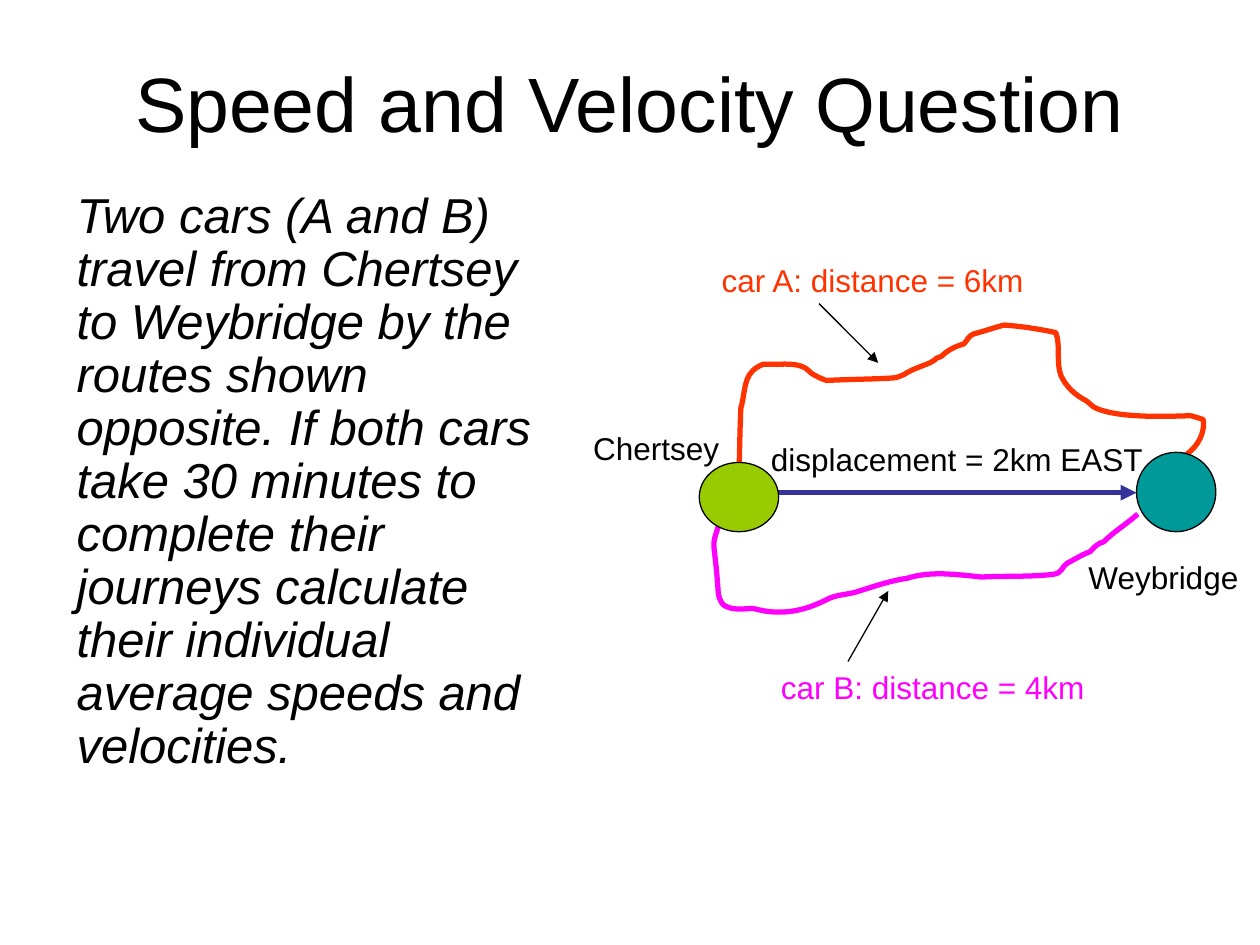
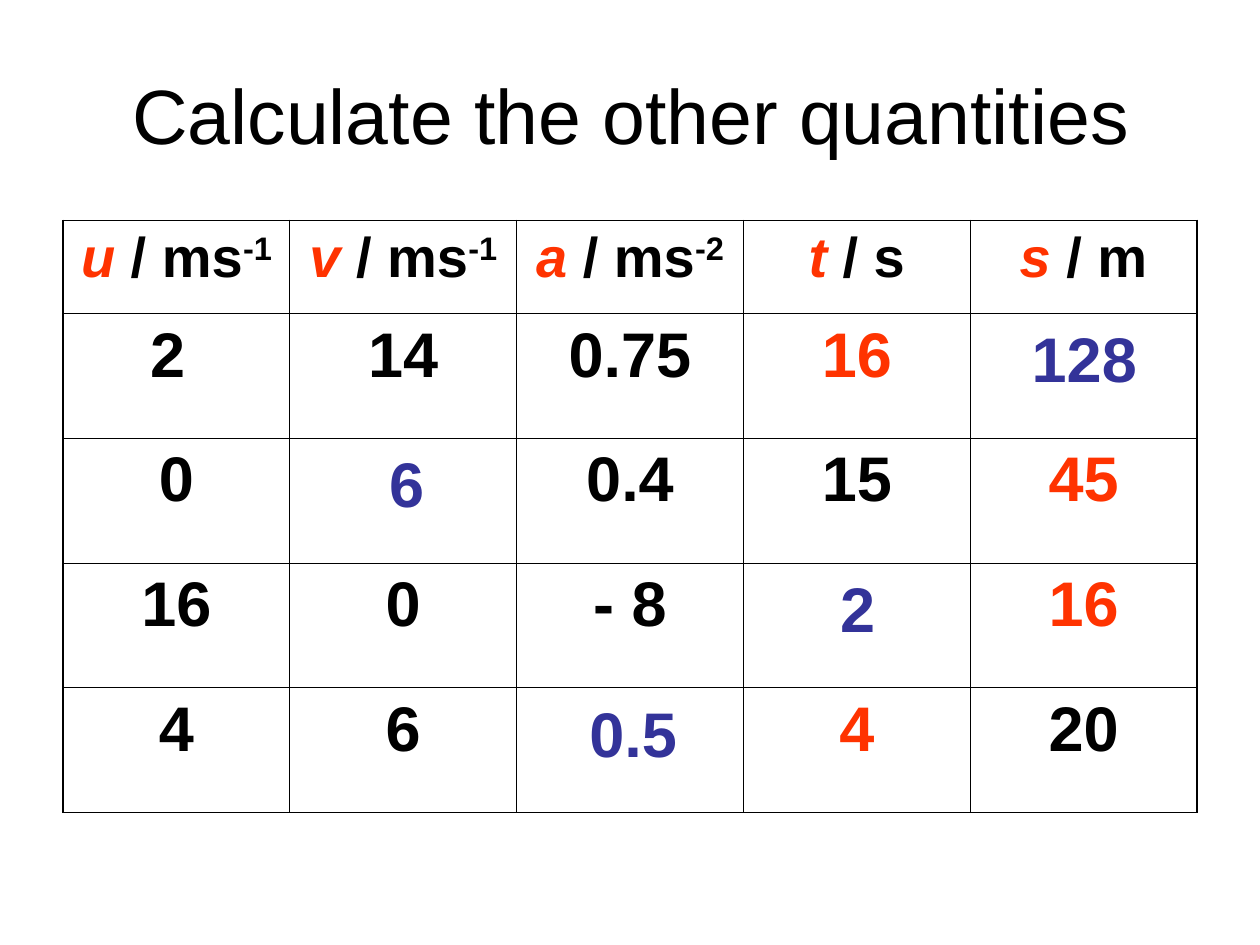
from dataclasses import dataclass

from lxml.etree import SubElement
from pptx import Presentation
from pptx.dml.color import RGBColor
from pptx.enum.shapes import MSO_CONNECTOR as Connector, MSO_SHAPE as Preset
from pptx.enum.text import MSO_ANCHOR as Anchor, PP_ALIGN as Align
from pptx.oxml.ns import qn
from pptx.util import Inches, Pt


@dataclass(frozen=True)
class Theme:
    font: str = "Arial"
    black: str = "000000"
    red: str = "FF3300"
    magenta: str = "FF00FF"
    blue: str = "333399"
    green: str = "99CC00"
    teal: str = "009999"
    title: int = 44
    body: int = 28
    label: int = 18
    header: int = 32
    value: int = 36
    thin: float = 0.75
    route: float = 3
    grid: float = 0.45
    frame: float = 1.08


THEME = Theme()
WIDTH, HEIGHT = 10, 7.5

# Speed and velocity: lengths in inches
QUESTION_TITLE = "Speed and Velocity Question", (0.5, 0.3, 9, 1.01)
QUESTION = (
    "Two cars (A and B) travel from Chertsey to Weybridge by the routes shown "
    "opposite. If both cars take 30 minutes to complete their journeys calculate "
    "their individual average speeds and velocities."
)
QUESTION_BOX = (0.51, 1.47, 3.95, 4.76)
LABELS = [
    ("car A: distance = 6km", (5.63, 2.02, 2.84, 0.4), THEME.red),
    ("car B: distance = 4km", (6.1, 5.25, 2.84, 0.4), THEME.magenta),
    ("displacement = 2km EAST", (6.02, 3.44, 3.31, 0.4), THEME.black),
    ("Chertsey", (4.61, 3.36, 1.34, 0.4), THEME.black),
    ("Weybridge", (8.54, 4.38, 1.46, 0.4), THEME.black),
]
TOWNS = [
    ((5.55, 3.67, 0.63, 0.55), THEME.green),
    ((9.02, 3.59, 0.63, 0.63), THEME.teal),
]
DISPLACEMENT = (5.94, 3.91, 9.02, 3.91)
POINTERS = [(6.5, 2.41, 6.97, 2.88), (6.73, 5.25, 7.05, 4.69)]

# Routes in hundredths of an inch: a start, then two handles and an end per curve
ROUTE_A = [
    (586, 389),
    (587, 368), (587, 346), (588, 324),
    (588, 323), (589, 321), (589, 320),
    (592, 305), (591, 295), (606, 289),
    (617, 290), (630, 287), (639, 292),
    (642, 294), (644, 297), (647, 298),
    (650, 300), (656, 302), (656, 302),
    (674, 301), (692, 301), (709, 300),
    (712, 300), (718, 297), (718, 297),
    (724, 293), (731, 291), (738, 288),
    (749, 282), (736, 287), (747, 283),
    (752, 278), (758, 275), (765, 273),
    (768, 270), (769, 266), (773, 265),
    (781, 263), (789, 260), (797, 258),
    (811, 259), (824, 261), (838, 264),
    (842, 275), (838, 287), (842, 298),
    (846, 307), (854, 314), (862, 318),
    (865, 320), (867, 323), (870, 324),
    (890, 333), (936, 330), (945, 330),
    (946, 330), (955, 333), (955, 333),
    (957, 346), (947, 360), (935, 364),
    (930, 369), (928, 373), (921, 376),
    (919, 381), (921, 380), (917, 382),
]
ROUTE_B = [
    (582, 405),
    (577, 409), (573, 413), (570, 418),
    (564, 437), (567, 425), (570, 470),
    (570, 473), (572, 478), (574, 480),
    (581, 485), (590, 483), (598, 483),
    (620, 489), (638, 485), (656, 476),
    (663, 472), (672, 472), (679, 470),
    (692, 466), (706, 461), (720, 459),
    (739, 453), (759, 456), (779, 458),
    (798, 457), (816, 458), (835, 456),
    (844, 455), (842, 450), (847, 447),
    (853, 444), (859, 440), (865, 438),
    (869, 434), (870, 432), (876, 430),
    (884, 422), (894, 416), (903, 408),
]
ROUTES = [(ROUTE_A, THEME.red), (ROUTE_B, THEME.magenta)]

# Quantities: symbol, unit, exponent
TABLE_TITLE = "Calculate the other quantities", (0.51, 0.28, 9, 1.25)
HEADERS = [
    ("u", " / ms", "-1"), ("v", " / ms", "-1"), ("a", " / ms", "-2"),
    ("t", " / s", ""), ("s", " / m", ""),
]
VALUES = [
    ["2 ", "14", "0.75", "16", ""],
    ["0", "", "0.4", "15", "45"],
    ["16", "0", "- 8", "", "16"],
    ["4", "6", "", "4", "20"],
]
RED_CELLS = {(0, 3), (1, 4), (2, 4), (3, 3)}
# Answer, row, column, indent within the cell
ANSWERS = [("128", 0, 4, 0.39), ("6", 1, 1, 0.69), ("2", 2, 3, 0.67), ("0.5", 3, 2, 0.48)]
TABLE_LEFT, TABLE_TOP = 0.5, 1.75
COLUMN_WIDTH, HEADER_HEIGHT, ROW_HEIGHT = 1.8, 0.74, 0.99
ANSWER_SIZE = (1.1, 0.7)


def inches(values):
    return [Inches(value) for value in values]


def set_all(target, formats):
    for name, value in formats.items():
        setattr(target, name, value)


def add_run(paragraph, text, size, color=THEME.black, **formats):
    run = paragraph.add_run()
    run.text = text
    set_all(run.font, {"name": THEME.font, "size": Pt(size), **formats})
    run.font.color.rgb = RGBColor.from_string(color)
    return run


def add_text(slide, text, box, size, color=THEME.black, anchor=Anchor.TOP,
             layout=None, **formats):
    """Add a text box; layout holds paragraph settings, formats font settings."""
    frame = slide.shapes.add_textbox(*inches(box)).text_frame
    set_all(frame, {"word_wrap": True, "vertical_anchor": anchor})
    paragraph = frame.paragraphs[0]
    set_all(paragraph, layout or {})
    add_run(paragraph, text, size, color, **formats)


def add_title(slide, text, box):
    add_text(slide, text, box, THEME.title, anchor=Anchor.MIDDLE,
             layout={"alignment": Align.CENTER})


def set_line(shape, color, width):
    shape.line.color.rgb = RGBColor.from_string(color)
    shape.line.width = Pt(width)


def add_arrow(slide, ends, color, width):
    arrow = slide.shapes.add_connector(Connector.STRAIGHT, *inches(ends))
    set_line(arrow, color, width)
    properties = arrow._element.spPr
    SubElement(properties.find(qn("a:ln")), qn("a:tailEnd"), type="triangle")
    SubElement(properties, qn("a:effectLst"))


def add_route(slide, points, color):
    """Draw the points as one open outline, every three forming a Bézier curve."""
    builder = slide.shapes.build_freeform(*points[0], scale=Inches(0.01))
    builder.add_line_segments(points[1:], close=False)
    route = builder.convert_to_shape()
    route.shadow.inherit = False
    route.fill.background()
    set_line(route, color, THEME.route)
    outline = next(route._element.iter(qn("a:path")))
    segments = outline.findall(qn("a:lnTo"))
    for start in range(0, len(segments), 3):
        curve = SubElement(outline, qn("a:cubicBezTo"))
        for segment in segments[start:start + 3]:
            curve.append(segment[0])
            outline.remove(segment)


def add_town(slide, box, color):
    town = slide.shapes.add_shape(Preset.OVAL, *inches(box))
    town.shadow.inherit = False
    town.fill.solid()
    town.fill.fore_color.rgb = RGBColor.from_string(color)
    set_line(town, THEME.black, THEME.thin)


def set_borders(cell, outer):
    """Rule all four sides; outer tells which lie on the table's frame."""
    properties = cell._tc.get_or_add_tcPr()
    for side, on_frame in outer.items():
        width = Pt(THEME.frame if on_frame else THEME.grid)
        border = SubElement(properties, qn(f"a:ln{side}"), w=str(width))
        fill = SubElement(border, qn("a:solidFill"))
        SubElement(fill, qn("a:srgbClr"), val=THEME.black)


def fill_cell(paragraph, row, column):
    if row == 0:
        symbol, unit, exponent = HEADERS[column]
        add_run(paragraph, symbol, THEME.header, THEME.red, bold=True, italic=True)
        add_run(paragraph, unit, THEME.header, bold=True)
        if exponent:
            power = add_run(paragraph, exponent, THEME.header, bold=True)
            power._r.get_or_add_rPr().set("baseline", "30000")
    elif VALUES[row - 1][column]:
        color = THEME.red if (row - 1, column) in RED_CELLS else THEME.black
        add_run(paragraph, VALUES[row - 1][column], THEME.value, color, bold=True)


def add_quantities(slide):
    rows, columns = len(VALUES) + 1, len(HEADERS)
    heights = [HEADER_HEIGHT] + [ROW_HEIGHT] * len(VALUES)
    box = (TABLE_LEFT, TABLE_TOP, COLUMN_WIDTH * columns, sum(heights))
    table = slide.shapes.add_table(rows, columns, *inches(box)).table
    set_all(table, {"first_row": False, "horz_banding": False})
    for row, height in enumerate(heights):
        table.rows[row].height = Inches(height)
        for column in range(columns):
            cell = table.cell(row, column)
            set_borders(cell, {"L": column == 0, "R": column == columns - 1,
                               "T": row == 0, "B": row == rows - 1})
            cell.fill.background()
            paragraph = cell.text_frame.paragraphs[0]
            paragraph.alignment = Align.CENTER
            fill_cell(paragraph, row, column)


def build_question(slide):
    add_title(slide, *QUESTION_TITLE)
    add_text(slide, QUESTION, QUESTION_BOX, THEME.body,
             layout={"line_spacing": 0.9}, italic=True)
    add_arrow(slide, DISPLACEMENT, THEME.blue, THEME.route)
    for points, color in ROUTES:
        add_route(slide, points, color)
    for box, color in TOWNS:
        add_town(slide, box, color)
    for text, box, color in LABELS:
        add_text(slide, text, box, THEME.label, color)
    for ends in POINTERS:
        add_arrow(slide, ends, THEME.black, THEME.thin)


def build_table(slide):
    add_title(slide, *TABLE_TITLE)
    add_quantities(slide)
    for text, row, column, indent in ANSWERS:
        left = TABLE_LEFT + column * COLUMN_WIDTH + indent
        top = TABLE_TOP + HEADER_HEIGHT + row * ROW_HEIGHT
        add_text(slide, text, (left, top, *ANSWER_SIZE), THEME.value, THEME.blue, bold=True)


def main():
    presentation = Presentation()
    set_all(presentation, {"slide_width": Inches(WIDTH), "slide_height": Inches(HEIGHT)})
    blank = presentation.slide_layouts[6]
    for build in (build_question, build_table):
        build(presentation.slides.add_slide(blank))
    presentation.save("out.pptx")


if __name__ == "__main__":
    main()
